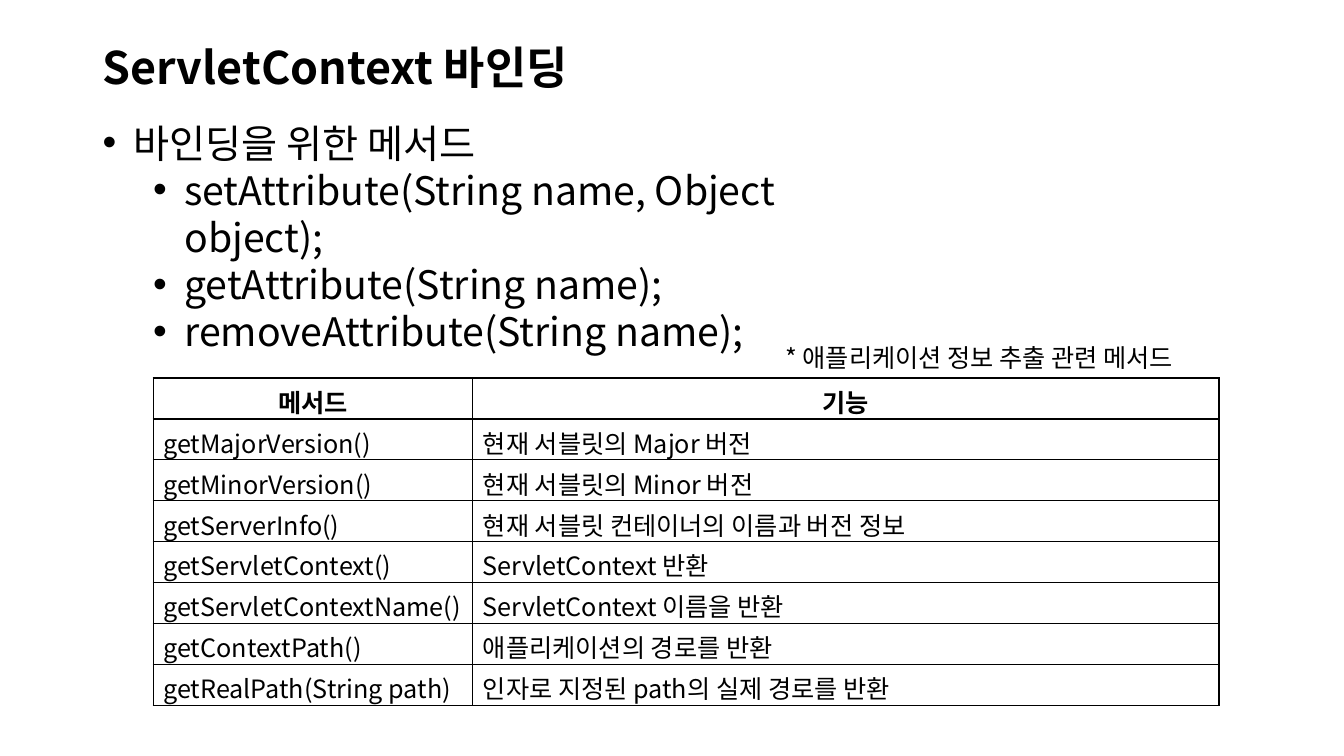
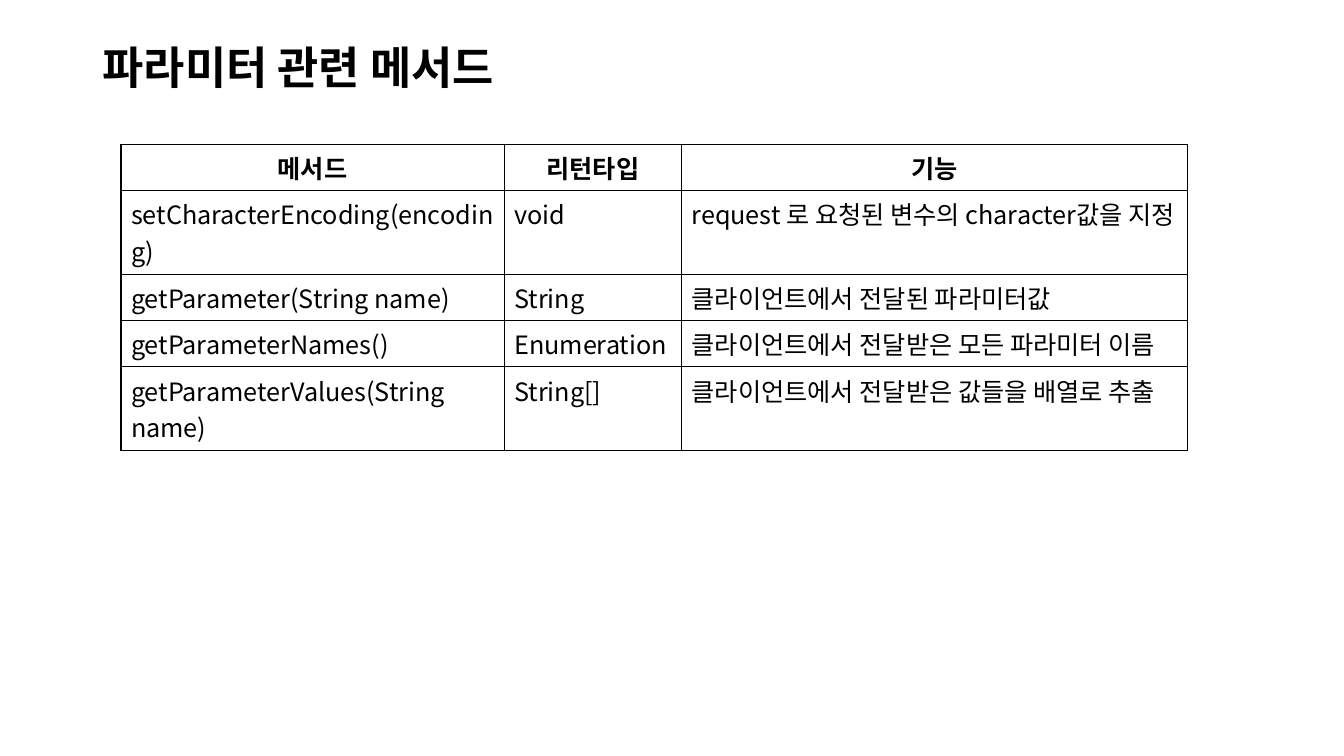
from lxml import etree
from pptx import Presentation
from pptx.dml.color import RGBColor
from pptx.enum import text
from pptx.oxml import ns
from pptx.util import Inches, Pt

BLACK = RGBColor(0x00, 0x00, 0x00)
WHITE = RGBColor(0xFF, 0xFF, 0xFF)
FONT = "Noto Sans CJK KR"

METHODS = ["setAttribute(String name, Object object);",
           "getAttribute(String name);",
           "removeAttribute(String name);"]

CONTEXT_ROWS = [
    ("메서드", "기능"),
    ("getMajorVersion()", "현재 서블릿의 Major 버전"),
    ("getMinorVersion()", "현재 서블릿의 Minor 버전"),
    ("getServerInfo()", "현재 서블릿 컨테이너의 이름과 버전 정보"),
    ("getServletContext()", "ServletContext 반환"),
    ("getServletContextName()", "ServletContext 이름을 반환"),
    ("getContextPath()", "애플리케이션의 경로를 반환"),
    ("getRealPath(String path)", "인자로 지정된 path의 실제 경로를 반환"),
]

PARAMETER_ROWS = [
    ("메서드", "리턴타입", "기능"),
    ("setCharacterEncoding(encoding)", "void",
     "request 로 요청된 변수의 character값을 지정"),
    ("getParameter(String name)", "String", "클라이언트에서 전달된 파라미터값"),
    ("getParameterNames()", "Enumeration",
     "클라이언트에서 전달받은 모든 파라미터 이름"),
    ("getParameterValues(String name)", "String[]",
     "클라이언트에서 전달받은 값들을 배열로 추출"),
]

ONE_LINE, TWO_LINES = 0.46, 0.83


def sub(parent, tag, **attrs):
    return etree.SubElement(parent, ns.qn(tag), attrs)


def write(p, words, size=18, bold=False, align=None, spacing=None):
    p.alignment = align
    if spacing:
        p.line_spacing = spacing
    r = p.add_run()
    r.text = words
    r.font.size = Pt(size)
    r.font.bold = bold
    r.font.color.rgb = BLACK
    r.font.name = FONT
    sub(r._r.get_or_add_rPr(), "a:ea", typeface=FONT)


def add_bullet(p, level, indent):
    p.level = level
    pPr = p._p.get_or_add_pPr()
    pPr.set("marL", str(Inches(indent)))
    pPr.set("indent", str(-Inches(0.31)))
    sub(pPr, "a:buFont", typeface="Arial")
    sub(pPr, "a:buChar", char="•")


def add_box(s, left, top, width, height, anchor=text.MSO_ANCHOR.TOP):
    sp = s.shapes.add_textbox(Inches(left), Inches(top),
                              Inches(width), Inches(height))
    tf = sp.text_frame
    tf.word_wrap = True
    tf.vertical_anchor = anchor
    return tf


def add_titled_slide(prs, title):
    s = prs.slides.add_slide(prs.slide_layouts[6])
    s.background.fill.solid()
    s.background.fill.fore_color.rgb = WHITE
    tf = add_box(s, 0.92, 0.4, 11.5, 0.58, text.MSO_ANCHOR.MIDDLE)
    write(tf.paragraphs[0], title, size=32, bold=True, spacing=0.9)
    return s


def add_bullets(s, heading, items):
    tf = add_box(s, 0.92, 1.13, 8.22, 1.99)
    for i, words in enumerate([heading] + items):
        p = tf.add_paragraph() if i else tf.paragraphs[0]
        write(p, words, size=28)
        add_bullet(p, 1 if i else 0, 0.81 if i else 0.31)


def set_borders(cell):
    tcPr = cell._tc.get_or_add_tcPr()
    for side in ("a:lnL", "a:lnR", "a:lnT", "a:lnB"):
        ln = sub(tcPr, side, w=str(Pt(1)))
        sub(sub(ln, "a:solidFill"), "a:srgbClr", val=str(BLACK))


def add_grid(s, left, top, widths, heights, rows, bottom=0.05):
    frame = s.shapes.add_table(len(rows), len(widths), Inches(left),
                               Inches(top), Inches(sum(widths)),
                               Inches(sum(heights)))
    table = frame.table
    table.first_row = table.horz_banding = False
    for column, width in zip(table.columns, widths):
        column.width = Inches(width)
    for row, height in zip(table.rows, heights):
        row.height = Inches(height)
    for i, row in enumerate(rows):
        for j, words in enumerate(row):
            cell = table.cell(i, j)
            cell.margin_bottom = Inches(bottom)
            set_borders(cell)
            cell.fill.background()
            write(cell.text_frame.paragraphs[0], words, bold=i == 0,
                  align=text.PP_ALIGN.CENTER if i == 0 else None)


def build_context(prs):
    s = add_titled_slide(prs, "ServletContext 바인딩")
    add_bullets(s, "바인딩을 위한 메서드", METHODS)
    count = len(CONTEXT_ROWS)
    add_grid(s, 1.52, 3.75, (3.17, 7.4), [3.25 / count] * count,
             CONTEXT_ROWS, bottom=0)
    tf = add_box(s, 7.69, 3.35, 4.54, 0.4)
    write(tf.paragraphs[0], "* 애플리케이션 정보 추출 관련 메서드")


def build_parameters(prs):
    s = add_titled_slide(prs, "파라미터 관련 메서드")
    heights = [ONE_LINE, TWO_LINES, ONE_LINE, ONE_LINE, TWO_LINES]
    add_grid(s, 1.2, 1.43, (3.8, 1.76, 5.02), heights, PARAMETER_ROWS)


def main():
    prs = Presentation()
    prs.slide_width = Inches(13.33)
    prs.slide_height = Inches(7.5)
    build_context(prs)
    build_parameters(prs)
    prs.save("out.pptx")


if __name__ == "__main__":
    main()
